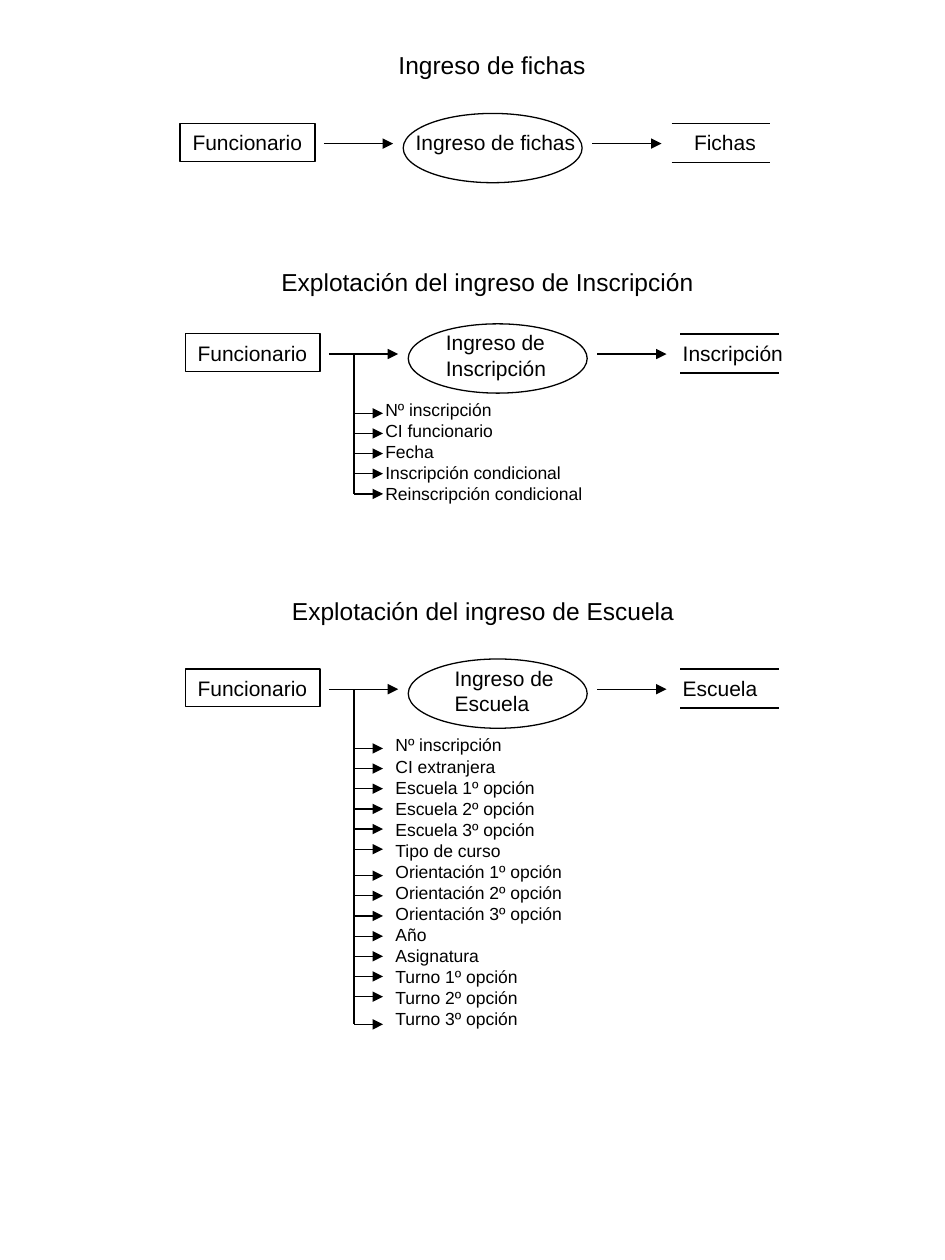
from lxml.etree import SubElement
from pptx import Presentation
from pptx.dml.color import RGBColor
from pptx.enum.shapes import MSO_CONNECTOR, MSO_SHAPE
from pptx.enum.text import MSO_ANCHOR, PP_ALIGN
from pptx.oxml.ns import qn
from pptx.util import Inches, Pt

COLORS = {"ink": "000000"}
INK = RGBColor.from_string(COLORS["ink"])
FONT = "Arial"
LINE_WIDTH = Pt(0.75)
TIP_STEP = 0.16  # distance between neighbouring branch arrows
BRANCH_X = 1.34  # trunk of the branch, from the left of the diagram


def write(tf, text, size=12, align=PP_ALIGN.LEFT, wrap=True):
    """Fill a text frame, one paragraph for each line of text."""
    tf.word_wrap = wrap
    tf.vertical_anchor = MSO_ANCHOR.TOP
    tf.margin_left = tf.margin_right = Inches(0.1)
    tf.margin_top = tf.margin_bottom = Inches(0.05)
    for i, line in enumerate(text.split("\n")):
        p = tf.paragraphs[0] if i == 0 else tf.add_paragraph()
        p.alignment = align
        r = p.add_run()
        r.text = line
        r.font.name, r.font.size = FONT, Pt(size)
        r.font.color.rgb = INK


def add_text(shapes, text, x, y, w, h, **fmt):
    sp = shapes.add_textbox(Inches(x), Inches(y), Inches(w), Inches(h))
    write(sp.text_frame, text, **fmt)


def add_outline(shapes, kind, x, y, w, h):
    sp = shapes.add_shape(kind, Inches(x), Inches(y), Inches(w), Inches(h))
    sp.shadow.inherit = False
    sp.fill.background()
    sp.line.color.rgb = INK
    sp.line.width = LINE_WIDTH
    return sp


def add_line(shapes, x1, y1, x2, y2, arrow=False):
    line = shapes.add_connector(MSO_CONNECTOR.STRAIGHT, Inches(x1), Inches(y1),
                                Inches(x2), Inches(y2))
    line.line.color.rgb = INK
    line.line.width = LINE_WIDTH
    if arrow:
        SubElement(line.line._get_or_add_ln(), qn("a:tailEnd"), type="triangle")
    SubElement(line._element.spPr, qn("a:effectLst"))


def add_branch(shapes, x, y, fields, runs, text_dx):
    """Trunk with one arrow per field; runs are (first arrow, count)."""
    tips = [y + start + i * TIP_STEP for start, count in runs for i in range(count)]
    add_line(shapes, x, y + 0.16, x, tips[-1])
    for tip in tips:
        add_line(shapes, x, tip, x + 0.23, tip, arrow=True)
    height = 0.1 + len(fields) / 6
    add_text(shapes, "\n".join(fields), x + text_dx, y + 0.47, 1.81, height, size=10)


def add_diagram(slide, x, y, heading, process, store, store_dx, branch=None):
    """Heading and flow entity -> process -> data store, from the entity's corner."""
    title, title_x, title_y, title_w = heading
    add_text(slide.shapes, title, title_x, title_y, title_w, 0.34,
             size=14, align=PP_ALIGN.CENTER)
    shapes = slide.shapes.add_group_shape().shapes
    mid = y + 0.16

    # External entity
    entity = add_outline(shapes, MSO_SHAPE.RECTANGLE, x, y, 1.07, 0.3)
    write(entity.text_frame, "Funcionario", wrap=False)

    # Process
    add_outline(shapes, MSO_SHAPE.OVAL, x + 1.77, y - 0.08, 1.42, 0.55)
    text, dx, dy, w, h = process
    add_text(shapes, text, x + dx, y + dy, w, h)

    # Data store
    left = x + store_dx
    for rule_y in (y, y + 0.31):
        add_line(shapes, left, rule_y, left + 0.78, rule_y)
    text, dx, w = store
    add_text(shapes, text, left + dx, y, w, 0.3)

    # Flow arrows
    for start in (1.14, 3.27):
        add_line(shapes, x + start, mid, x + start + 0.55, mid, arrow=True)

    if branch:
        add_branch(shapes, x + BRANCH_X, y, **branch)


def main():
    prs = Presentation()
    prs.slide_width, prs.slide_height = Inches(7.5), Inches(10)
    slide = prs.slides.add_slide(prs.slide_layouts[6])

    add_diagram(slide, 1.43, 0.98,
                heading=("Ingreso de fichas", 2.25, 0.35, 3.31),
                process=("Ingreso de fichas", 1.77, 0, 1.5, 0.3),
                store=("Fichas", 0.08, 0.75), store_dx=3.9)

    add_diagram(slide, 1.47, 2.65,
                heading=("Explotación del ingreso de Inscripción", 2.02, 2.07, 3.7),
                process=("Ingreso de Inscripción", 1.97, -0.08, 1.02, 0.5),
                store=("Inscripción", -0.08, 1.02), store_dx=3.93,
                branch={
                    "fields": ["Nº inscripción", "CI funcionario", "Fecha",
                               "Inscripción condicional", "Reinscripción condicional"],
                    "runs": [(0.63, 5)],
                    "text_dx": 0.15,
                })

    add_diagram(slide, 1.47, 5.31,
                heading=("Explotación del ingreso de Escuela", 2.18, 4.68, 3.31),
                process=("Ingreso de Escuela", 2.04, -0.08, 1.02, 0.5),
                store=("Escuela", -0.08, 1.02), store_dx=3.93,
                branch={
                    "fields": ["Nº inscripción", "CI extranjera",
                               "Escuela 1º opción", "Escuela 2º opción",
                               "Escuela 3º opción", "Tipo de curso",
                               "Orientación 1º opción", "Orientación 2º opción",
                               "Orientación 3º opción", "Año", "Asignatura",
                               "Turno 1º opción", "Turno 2º opción",
                               "Turno 3º opción"],
                    "runs": [(0.63, 6), (1.64, 7), (2.82, 1)],
                    "text_dx": 0.23,
                })

    prs.save("out.pptx")


if __name__ == "__main__":
    main()
